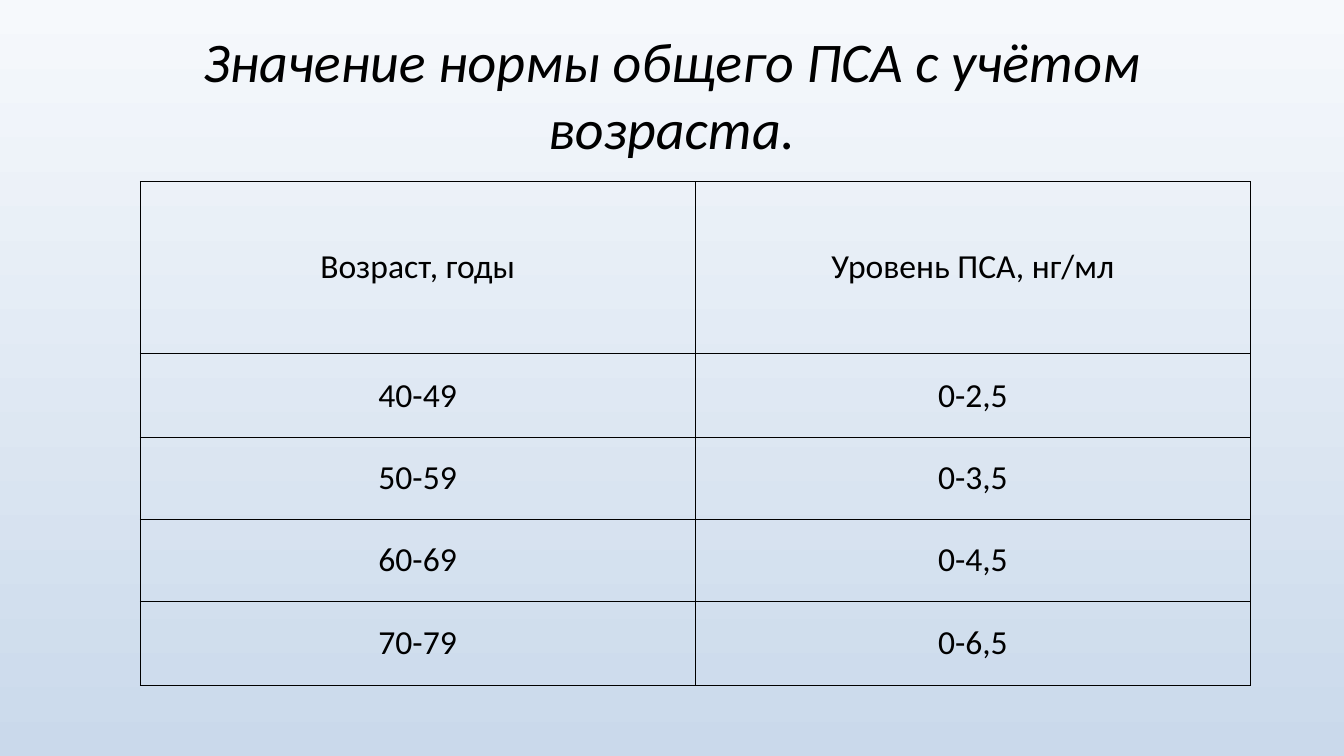
from lxml import etree
from pptx import Presentation
from pptx.dml.color import RGBColor
from pptx.enum.text import MSO_ANCHOR, PP_ALIGN
from pptx.oxml.ns import qn
from pptx.util import Pt

TITLE = "Значение нормы общего ПСА с учётом возраста."
ROWS = [
    ("Возраст, годы", "Уровень ПСА, нг/мл"),
    ("40-49", "0-2,5"),
    ("50-59", "0-3,5"),
    ("60-69", "0-4,5"),
    ("70-79", "0-6,5"),
]
ROW_HEIGHTS = [123, 60, 58.5, 58.5, 60]
COLUMN_WIDTH = 396.8
BORDER_WIDTH = 0.45

BLACK = RGBColor(0x00, 0x00, 0x00)
SKY_TOP = RGBColor(0xF6, 0xF9, 0xFC)
SKY_BOTTOM = RGBColor(0xCA, 0xD9, 0xEB)
CENTER = PP_ALIGN.CENTER
MIDDLE = MSO_ANCHOR.MIDDLE


def style_paragraph(paragraph, size, italic=False):
    paragraph.alignment = CENTER
    paragraph.font.name = "Calibri"
    paragraph.font.size = Pt(size)
    paragraph.font.italic = italic
    paragraph.font.color.rgb = BLACK


def add_borders(cell):
    properties = cell._tc.get_or_add_tcPr()
    for position, side in enumerate(("lnL", "lnR", "lnT", "lnB")):
        line = etree.Element(qn(f"a:{side}"), w=str(Pt(BORDER_WIDTH)))
        fill = etree.SubElement(line, qn("a:solidFill"))
        etree.SubElement(fill, qn("a:srgbClr"), val=str(BLACK))
        properties.insert(position, line)


def set_background(slide):
    fill = slide.background.fill
    fill.gradient()
    fill.gradient_angle = 270
    for stop, color in zip(fill.gradient_stops, (SKY_TOP, SKY_BOTTOM)):
        stop.color.rgb = color


def add_title(slide):
    box = slide.shapes.add_textbox(Pt(48), Pt(21.6), Pt(864), Pt(90))
    frame = box.text_frame
    frame.word_wrap = True
    frame.vertical_anchor = MIDDLE
    frame.text = TITLE
    style_paragraph(frame.paragraphs[0], 40, italic=True)


def add_norms_table(slide):
    column_count = len(ROWS[0])
    table = slide.shapes.add_table(
        len(ROWS), column_count, Pt(100.1), Pt(129.6),
        Pt(COLUMN_WIDTH * column_count), Pt(sum(ROW_HEIGHTS))).table
    table.first_row = False
    table.horz_banding = False
    for column in table.columns:
        column.width = Pt(COLUMN_WIDTH)
    for row, height, texts in zip(table.rows, ROW_HEIGHTS, ROWS):
        row.height = Pt(height)
        for cell, text in zip(row.cells, texts):
            cell.text = text
            cell.vertical_anchor = MIDDLE
            cell.margin_left = cell.margin_right = Pt(5)
            cell.fill.background()
            add_borders(cell)
            style_paragraph(cell.text_frame.paragraphs[0], 24)


def main():
    presentation = Presentation()
    presentation.slide_width = Pt(960.5)
    presentation.slide_height = Pt(540)
    slide = presentation.slides.add_slide(presentation.slide_layouts[6])
    set_background(slide)
    add_title(slide)
    add_norms_table(slide)
    presentation.save("out.pptx")


if __name__ == "__main__":
    main()
